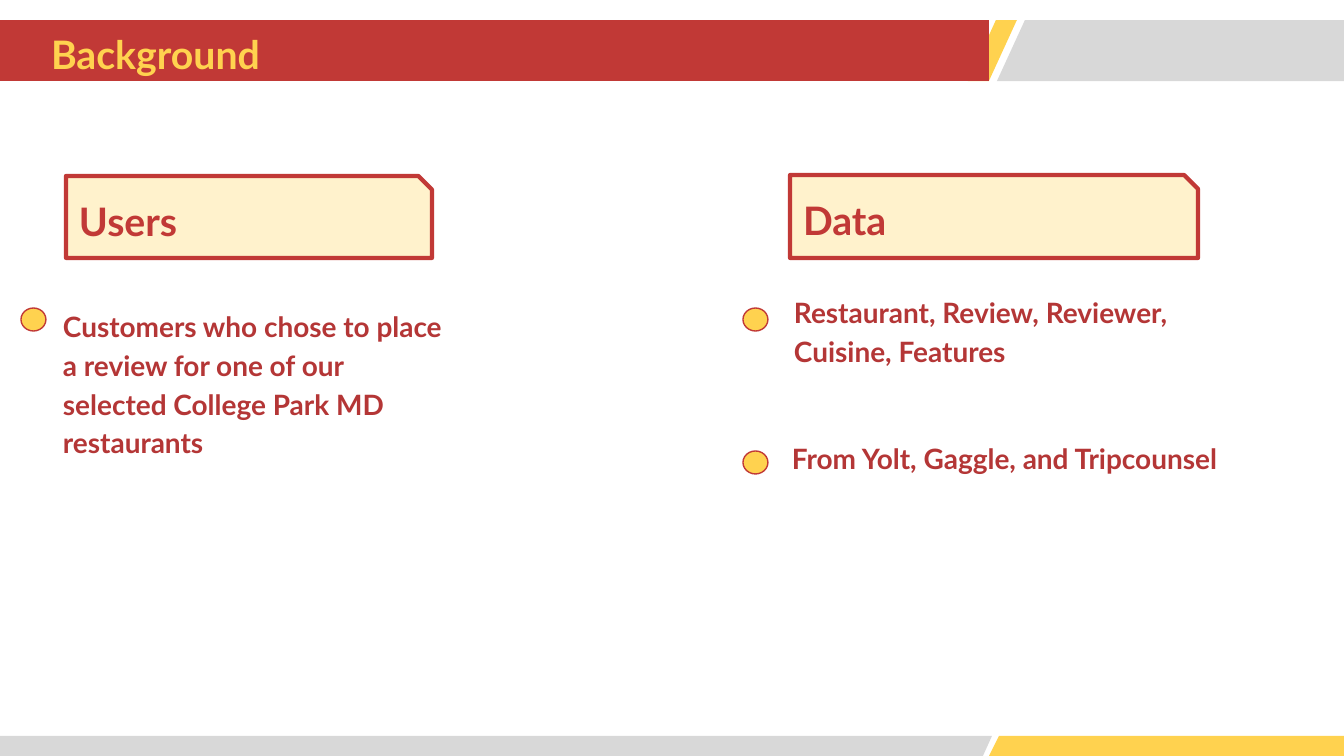
from pptx import Presentation
from pptx import util as u
from pptx.dml.color import RGBColor
from pptx.enum import shapes, text

SLIDE_W, SLIDE_H = 1344, 756
SCALE = u.Inches(10) / SLIDE_W
INSET = 13
FONT = "Lato"
COLORS = {
    "red": "C13936",
    "body": "B43636",
    "yellow": "FFD24F",
    "cream": "FFF2CC",
    "gray": "D8D8D8",
}


def px(length):
    return u.Emu(round(length * SCALE))


def rgb(name):
    return RGBColor.from_string(COLORS[name])


def paint(shape, fill, line_width=None):
    shape.shadow.inherit = False
    shape.fill.solid()
    shape.fill.fore_color.rgb = rgb(fill)
    if line_width:
        shape.line.color.rgb = rgb("red")
        shape.line.width = u.Pt(line_width)
    else:
        shape.line.fill.background()


def write(shape, lines, size, color, insets, anchor, spacing):
    frame = shape.text_frame
    frame.word_wrap = True
    frame.vertical_anchor = anchor
    frame.margin_left, frame.margin_top, frame.margin_right, frame.margin_bottom = map(px, insets)
    frame.text = "\n".join(lines)
    for paragraph in frame.paragraphs:
        paragraph.alignment = text.PP_ALIGN.LEFT
        paragraph.line_spacing = spacing
        paragraph.font.name = FONT
        paragraph.font.size = u.Pt(size)
        paragraph.font.bold = True
        paragraph.font.color.rgb = rgb(color)


def add_preset(slide, preset, box, fill, line_width=None):
    shape = slide.shapes.add_shape(preset, *map(px, box))
    paint(shape, fill, line_width)
    return shape


def add_band(slide, top, bottom, top_edges, bottom_edges, fill):
    (top_left, top_right), (bottom_left, bottom_right) = top_edges, bottom_edges
    outline = slide.shapes.build_freeform(top_left, top, scale=SCALE)
    outline.add_line_segments(
        [(top_right, top), (bottom_right, bottom), (bottom_left, bottom)], close=True
    )
    paint(outline.convert_to_shape(), fill)


def add_title(slide, title):
    bar = add_preset(slide, shapes.MSO_SHAPE.RECTANGLE, (0, 20, 989, 61), "red")
    write(bar, [title], 21, "yellow", (51, 0, 0, 0), text.MSO_ANCHOR.MIDDLE, 1.15)


def add_heading(slide, heading, box):
    card = add_preset(slide, shapes.MSO_SHAPE.SNIP_1_RECTANGLE, box, "cream", 2.25)
    card.adjustments[0] = 0.167
    write(card, [heading], 21, "red", [INSET] * 4, text.MSO_ANCHOR.MIDDLE, 1.0)


def add_point(slide, lines, box, dot_at, spacing=1.15):
    add_preset(slide, shapes.MSO_SHAPE.OVAL, (*dot_at, 25, 23), "yellow", 0.75)
    point = slide.shapes.add_textbox(*map(px, box))
    write(point, lines, 15, "body", [INSET] * 4, text.MSO_ANCHOR.TOP, spacing)


def main():
    deck = Presentation()
    deck.slide_width, deck.slide_height = px(SLIDE_W), px(SLIDE_H)
    slide = deck.slides.add_slide(deck.slide_layouts[6])

    add_band(slide, 736, SLIDE_H, (0, 992), (0, 983), "gray")
    add_band(slide, 736, SLIDE_H, (999, SLIDE_W), (989, SLIDE_W), "yellow")
    add_band(slide, 20, 81, (1025, SLIDE_W), (997, SLIDE_W), "gray")
    add_band(slide, 20, 81, (996, 1017), (968, 989), "yellow")
    add_title(slide, "Background")

    add_heading(slide, "Users", (66, 176, 366, 82))
    add_point(
        slide,
        ["Customers who chose to place a review for one of our selected College Park MD restaurants"],
        (50, 292, 409, 179),
        (21, 308),
    )

    add_heading(slide, "Data", (790, 175, 408, 83))
    add_point(
        slide,
        ["Restaurant, Review, Reviewer,", "Cuisine, Features"],
        (781, 278, 458, 140),
        (743, 308),
    )
    add_point(
        slide,
        ["From Yolt, Gaggle, and Tripcounsel"],
        (779, 435, 534, 54),
        (743, 451),
        spacing=0.8,
    )

    deck.save("out.pptx")


if __name__ == "__main__":
    main()
